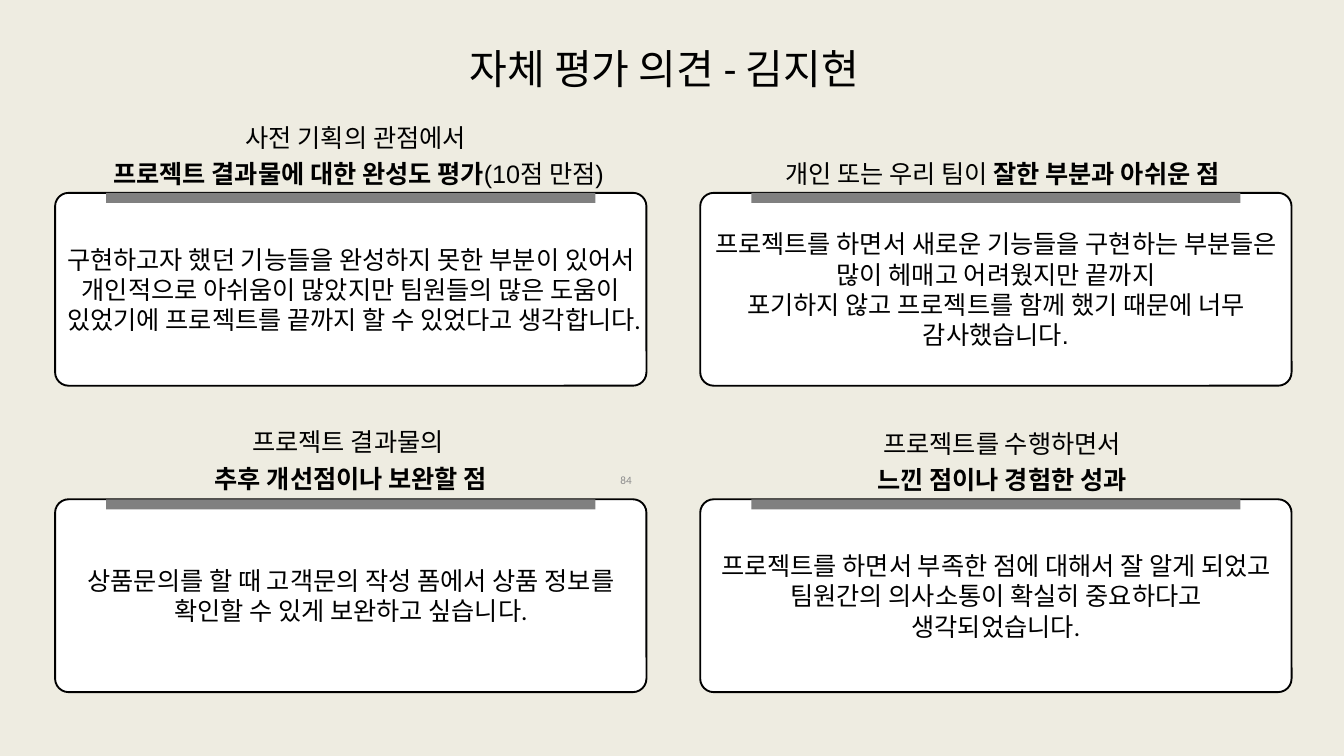
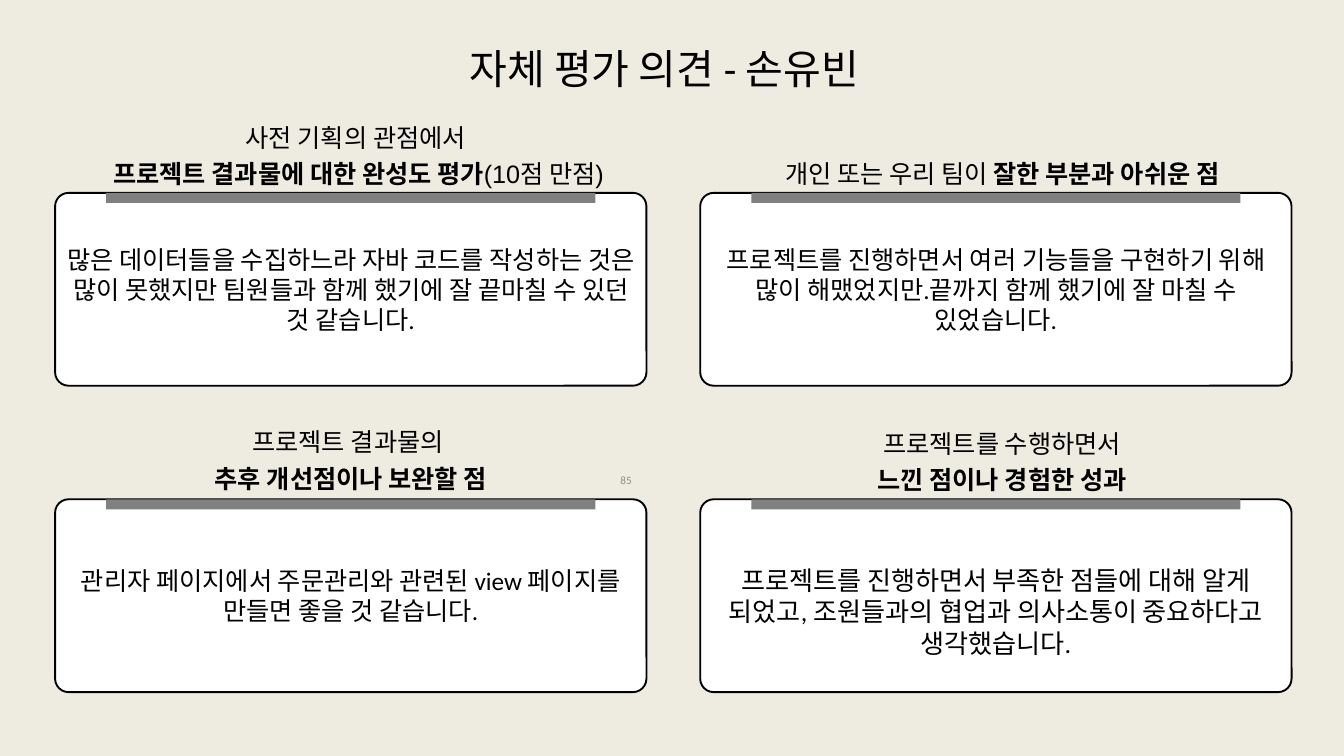
from dataclasses import dataclass

import pptx
import pptx.util
from pptx.dml.color import RGBColor
from pptx.enum.shapes import MSO_SHAPE
from pptx.enum.text import MSO_ANCHOR, MSO_AUTO_SIZE, PP_ALIGN


@dataclass(frozen=True)
class Theme:
    background: str = "EEECE1"
    card: str = "FFFFFF"
    ink: str = "000000"
    bar: str = "808080"
    page: str = "8C8C8C"
    heading_font: str = "Arial"
    body_font: str = "Calibri"
    title_size: int = 44
    body_size: int = 27
    page_size: int = 12
    outline: int = 2


THEME = Theme()
COLS, ROWS = 200, 112.5  # grid cells of a tenth of an inch
CELL = 0.1


@dataclass(frozen=True)
class Box:
    """A region of the slide, in grid cells."""
    x: float
    y: float
    w: float
    h: float

    def inner(self, dx, dy, w, h):
        return Box(self.x + dx, self.y + dy, w, h)

    def emu(self):
        return [pptx.util.Inches(v * CELL) for v in (self.x, self.y, self.w, self.h)]


PAGE = Box(0, 0, COLS, ROWS)
CARD_W, CARD_H = 88, 28.7
CARD_X, CARD_Y = 8.2, 28.7
PITCH_X, PITCH_Y = 96, 45.6


@dataclass(frozen=True)
class Heading:
    """Lines of (text, bold) runs, with the box as an offset from its card."""
    lines: list
    place: tuple
    spacing: float = 1.2


# Row by row: the same four questions appear on every slide
HEADINGS = [
    Heading([[("사전 기획의 관점에서 ", False)],
             [("프로젝트 결과물에 대한 완성도 평가", True), ("(10점 만점)", False)]],
            (3.7, -11.9, 82.9, 11.4)),
    Heading([[("개인 또는 우리 팀이 ", False), ("잘한 부분과 아쉬운 점", True)]],
            (4, -6.1, 81.9, 5.6), spacing=1.1),
    Heading([[("프로젝트 결과물의 ", False)], [("추후 개선점이나 보완할 점", True)]],
            (6.1, -12.2, 75.8, 11.4)),
    Heading([[("프로젝트를 수행하면서", False)], [("느낀 점이나 경험한 성과", True)]],
            (7, -12, 75.8, 11.4)),
]


@dataclass(frozen=True)
class Answer:
    paragraphs: list
    font: str = THEME.body_font
    size: int = THEME.body_size
    drop: float = 0  # extra top inset, in cells


@dataclass(frozen=True)
class Review:
    member: str
    page: int
    answers: list


REVIEWS = [
    Review("김지현", 84, [
        Answer(["구현하고자 했던 기능들을 완성하지 못한 부분이 있어서 개인적으로 아쉬움이 많았지만 "
                "팀원들의 많은 도움이 있었기에 프로젝트를 끝까지 할 수 있었다고 생각합니다."]),
        Answer(["프로젝트를 하면서 새로운 기능들을 구현하는 부분들은 많이 헤매고 어려웠지만 끝까지",
                "포기하지 않고 프로젝트를 함께 했기 때문에 너무 감사했습니다."],
               font=THEME.heading_font),
        Answer(["상품문의를 할 때 고객문의 작성 폼에서 상품 정보를 확인할 수 있게 보완하고 싶습니다."]),
        Answer(["프로젝트를 하면서 부족한 점에 대해서 잘 알게 되었고 "
                "팀원간의 의사소통이 확실히 중요하다고 생각되었습니다."]),
    ]),
    Review("손유빈", 85, [
        Answer(["많은 데이터들을 수집하느라 자바 코드를 작성하는 것은 많이 못했지만 "
                "팀원들과 함께 했기에 잘 끝마칠 수 있던 것 같습니다."]),
        Answer(["프로젝트를 진행하면서 여러 기능들을 구현하기 위해 많이 해맸었지만."
                "끝까지 함께 했기에 잘 마칠 수 있었습니다."]),
        Answer(["관리자 페이지에서 주문관리와 관련된 view 페이지를 만들면 좋을 것 같습니다."]),
        Answer(["프로젝트를 진행하면서 부족한 점들에 대해 알게 되었고, "
                "조원들과의 협업과 의사소통이 중요하다고 생각했습니다."], size=28, drop=4.7),
    ]),
]


def write(sp, lines, font=THEME.body_font, size=THEME.body_size, color=THEME.ink,
          align=PP_ALIGN.CENTER, anchor=MSO_ANCHOR.MIDDLE, spacing=None,
          grow=False, drop=0):
    """Fill a shape with lines, each a list of (text, bold) runs."""
    tf = sp.text_frame
    tf.word_wrap = True
    tf.vertical_anchor = anchor
    tf.auto_size = MSO_AUTO_SIZE.SHAPE_TO_FIT_TEXT if grow else MSO_AUTO_SIZE.NONE
    if drop:
        tf.margin_top += pptx.util.Inches(drop * CELL)
    for i, runs in enumerate(lines):
        p = tf.add_paragraph() if i else tf.paragraphs[0]
        p.alignment = align
        if spacing:
            p.line_spacing = spacing
        for text, bold in runs:
            r = p.add_run()
            r.text = text
            r.font.name = font
            r.font.size = pptx.util.Pt(size)
            r.font.bold = bold
            r.font.color.rgb = RGBColor.from_string(color)


def add_text(s, box, lines, **style):
    write(s.shapes.add_textbox(*box.emu()), lines, **style)


def add_shape(s, kind, box, fill, line=None):
    sp = s.shapes.add_shape(kind, *box.emu())
    sp.shadow.inherit = False
    sp.fill.solid()
    sp.fill.fore_color.rgb = RGBColor.from_string(fill)
    if line:
        sp.line.color.rgb = RGBColor.from_string(line)
        sp.line.width = pptx.util.Pt(THEME.outline)
    else:
        sp.line.fill.background()
    return sp


def add_card(s, box, heading, answer):
    # Rounded panel with the answer
    sp = add_shape(s, MSO_SHAPE.ROUNDED_RECTANGLE, box, THEME.card, THEME.ink)
    sp.adjustments[0] = 0.07
    write(sp, [[(text, False)] for text in answer.paragraphs],
          font=answer.font, size=answer.size, drop=answer.drop)
    # Bar along the top edge
    add_shape(s, MSO_SHAPE.RECTANGLE, box.inner(7.6, 0, 72.8, 1.5), THEME.bar)
    # Question above the panel
    add_text(s, box.inner(*heading.place), heading.lines, font=THEME.heading_font,
             spacing=heading.spacing, anchor=MSO_ANCHOR.TOP, grow=True)


def add_frame(s, box, review):
    """Background, title and page number."""
    s.background.fill.solid()
    s.background.fill.fore_color.rgb = RGBColor.from_string(THEME.background)
    add_text(s, box.inner(6.8, 5.9, 184.1, 8.5),
             [[(f"자체 평가 의견 - {review.member}", False)]], size=THEME.title_size)
    add_text(s, box.inner(71.7, 69.5, 23.3, 4), [[(str(review.page), False)]],
             size=THEME.page_size, color=THEME.page, align=PP_ALIGN.RIGHT)


def add_review(prs, review):
    s = prs.slides.add_slide(prs.slide_layouts[6])
    add_frame(s, PAGE, review)
    for i, (heading, answer) in enumerate(zip(HEADINGS, review.answers)):
        row, col = divmod(i, 2)
        box = PAGE.inner(CARD_X + col * PITCH_X, CARD_Y + row * PITCH_Y, CARD_W, CARD_H)
        add_card(s, box, heading, answer)


def main():
    prs = pptx.Presentation()
    prs.slide_width = pptx.util.Inches(COLS * CELL)
    prs.slide_height = pptx.util.Inches(ROWS * CELL)
    for review in REVIEWS:
        add_review(prs, review)
    prs.save("out.pptx")


if __name__ == "__main__":
    main()
